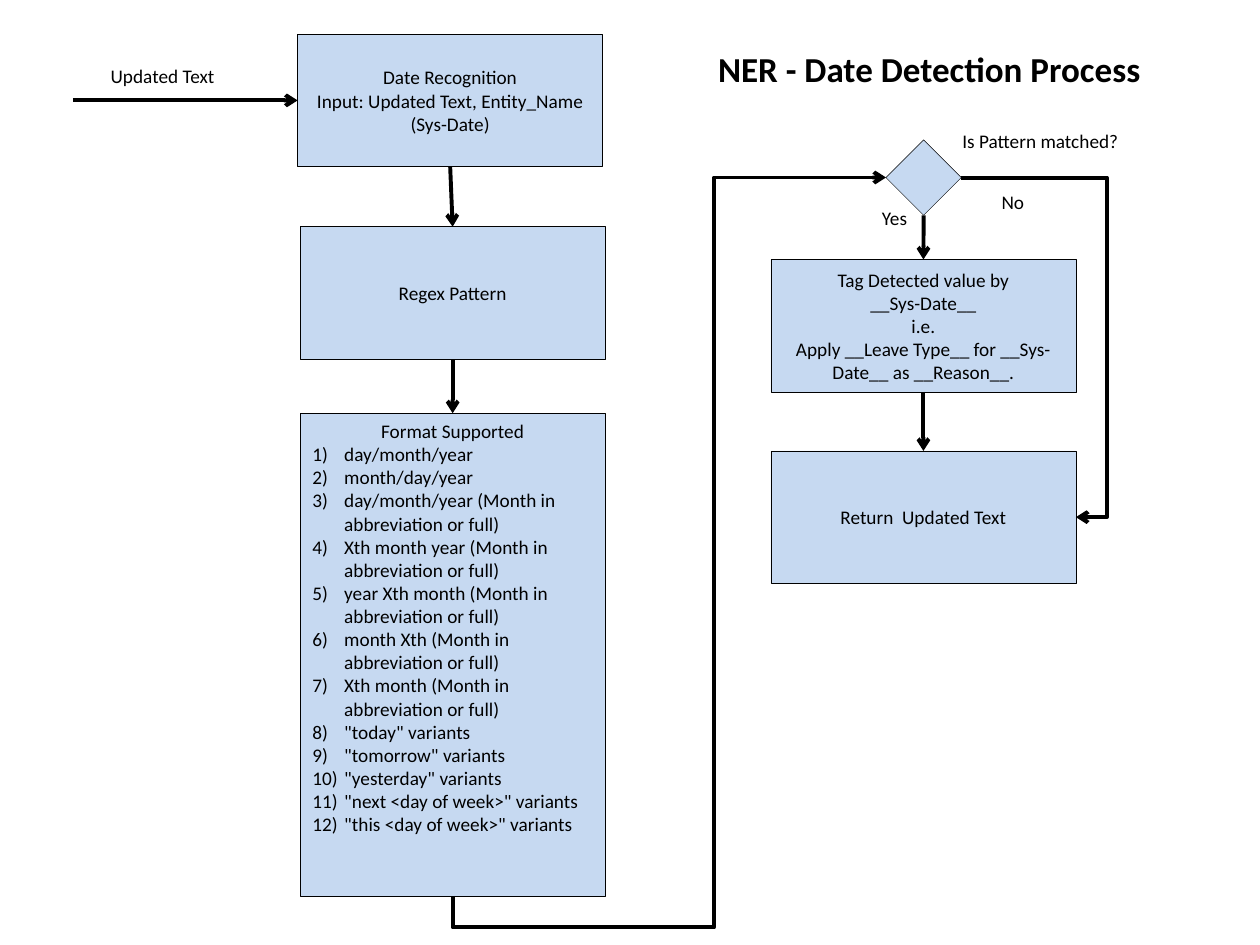
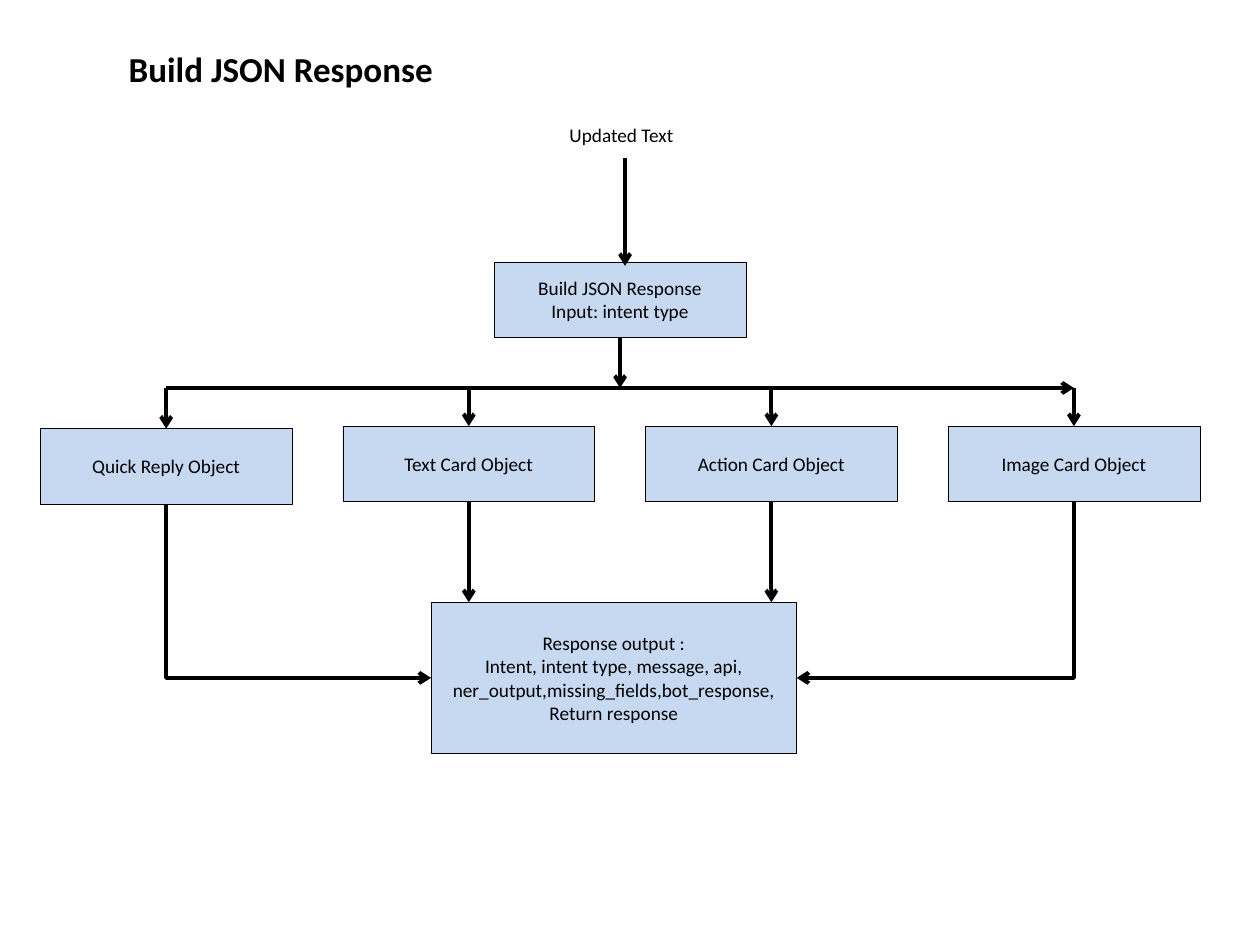
from lxml import etree
from pptx import Presentation
from pptx import util as u
from pptx.dml import color
from pptx.enum import shapes, text
from pptx.oxml import ns

COLOURS = {"box": "C6D9F1", "ink": "000000"}
FONT = "Calibri"
BODY = {"name": FONT, "size": u.Pt(11), "bold": False}
TITLE = {"name": FONT, "size": u.Pt(20), "bold": True}
SITES = {"top": 0, "left": 1, "bottom": 2, "right": 3}
RECT = shapes.MSO_SHAPE.RECTANGLE
CENTRE, LEFT = text.PP_ALIGN.CENTER, text.PP_ALIGN.LEFT
STEP_SIZE = (6.15, 2.67)
CARD_SIZE = (5.08, 1.52)
FORMATS = [
    "day/month/year", "month/day/year",
    "day/month/year (Month in abbreviation or full)",
    "Xth month year (Month in abbreviation or full)",
    "year Xth month (Month in abbreviation or full)",
    "month Xth (Month in abbreviation or full)",
    "Xth month (Month in abbreviation or full)",
    '"today" variants', '"tomorrow" variants', '"yesterday" variants',
    '"next <day of week>" variants', '"this <day of week>" variants',
]


def rgb(name):
    return color.RGBColor.from_string(COLOURS[name])


# Text
def write(frame, lines, style, align):
    frame.word_wrap = True
    for number, line in enumerate(lines):
        para = frame.paragraphs[0] if number == 0 else frame.add_paragraph()
        para.alignment = align
        span = para.add_run()
        span.text = line
        for key, value in style.items():
            setattr(span.font, key, value)
        span.font.color.rgb = rgb("ink")


def add_label(page, left, top, width, words):
    box = page.shapes.add_textbox(*map(u.Cm, (left, top, width, 0.74)))
    write(box.text_frame, [words], BODY, LEFT)
    box.text_frame.auto_size = text.MSO_AUTO_SIZE.SHAPE_TO_FIT_TEXT


def add_page(deck, title, left, width):
    page = deck.slides.add_slide(deck.slide_layouts[5])
    box = page.shapes.title
    place = {"left": left, "top": 0.84, "width": width, "height": 1.12}
    for key, value in place.items():
        setattr(box, key, u.Cm(value))
    write(box.text_frame, [title], TITLE, LEFT)
    box.text_frame.vertical_anchor = text.MSO_ANCHOR.TOP
    box.text_frame.auto_size = text.MSO_AUTO_SIZE.NONE
    return page


def number_para(para):
    props = para._p.get_or_add_pPr()
    indent = u.Cm(0.64)
    props.set("marL", str(indent))
    props.set("indent", str(-indent))
    etree.SubElement(props, ns.qn("a:buFont"), typeface="+mj-lt")
    etree.SubElement(props, ns.qn("a:buAutoNum"), type="arabicParenR")


# Boxes
def add_box(page, left, top, size, lines=(), kind=RECT):
    box = page.shapes.add_shape(kind, *map(u.Cm, (left, top, *size)))
    box.shadow.inherit = False
    box.fill.solid()
    box.fill.fore_color.rgb = rgb("box")
    box.line.color.rgb = rgb("ink")
    box.line.width = u.Pt(0.25)
    box.text_frame.vertical_anchor = text.MSO_ANCHOR.MIDDLE
    write(box.text_frame, lines, BODY, CENTRE)
    return box


# Arrows: an end is a (box, side) pair or an (x, y) point in EMU
def is_joint(end):
    return isinstance(end[1], str)


def spot(end):
    if not is_joint(end):
        return end
    box, side = end
    across = {"left": 0, "right": box.width}.get(side, box.width // 2)
    down = {"top": 0, "bottom": box.height}.get(side, box.height // 2)
    return box.left + across, box.top + down


def add_line(page, kind, start, end):
    line = page.shapes.add_connector(kind, *spot(start), *spot(end))
    line.line.color.rgb = rgb("ink")
    line.line.width = u.Pt(2.25)
    etree.SubElement(line.line._get_or_add_ln(), ns.qn("a:tailEnd"), type="arrow")
    etree.SubElement(line._element.spPr, ns.qn("a:effectLst"))
    return line


def add_arrow(page, start, end):
    line = add_line(page, shapes.MSO_CONNECTOR.STRAIGHT, start, end)
    for joint, connect in ((start, line.begin_connect), (end, line.end_connect)):
        if is_joint(joint):
            connect(joint[0], SITES[joint[1]])


def add_elbow(page, start, end, preset, turn=0, flips=(), bends=()):
    line = add_line(page, shapes.MSO_CONNECTOR.ELBOW, start, end)
    (x1, y1), (x2, y2) = spot(start), spot(end)
    width, height = abs(x2 - x1), abs(y2 - y1)
    if turn in (90, 270):
        width, height = height, width
    frame = {"left": (x1 + x2 - width) // 2, "top": (y1 + y2 - height) // 2,
             "width": width, "height": height, "rotation": turn}
    for key, value in frame.items():
        setattr(line, key, value)
    props = line._element.spPr
    xfrm = props.find(ns.qn("a:xfrm"))
    for flip in ("flipH", "flipV"):
        xfrm.set(flip, "1" if flip in flips else "0")
    outline = props.find(ns.qn("a:prstGeom"))
    outline.set("prst", preset)
    guides = outline.find(ns.qn("a:avLst"))
    for number, bend in enumerate(bends, 1):
        name = "adj" if preset == "bentConnector2" else f"adj{number}"
        etree.SubElement(guides, ns.qn("a:gd"), name=name,
                         fmla=f"val {round(bend * 100000)}")


# Date detection: the input and its three steps
def add_recognition(page, left, top):
    recognise = add_box(page, left + 4.53, top, STEP_SIZE, [
        "Date Recognition", "Input: Updated Text, Entity_Name (Sys-Date)"])
    regex = add_box(page, left + 4.58, top + 3.88, STEP_SIZE, ["Regex Pattern"])
    formats = add_box(page, left + 4.58, top + 7.64, (STEP_SIZE[0], 9.73),
                      ["Format Supported"] + FORMATS)
    formats.text_frame.vertical_anchor = text.MSO_ANCHOR.TOP
    for para in formats.text_frame.paragraphs[1:]:
        para.alignment = LEFT
        number_para(para)
    add_label(page, left + 0.51, top + 0.48, 3.61, "Updated Text")
    entry = (u.Cm(left), spot((recognise, "left"))[1])
    add_arrow(page, entry, (recognise, "left"))
    for upper, lower in ((recognise, regex), (regex, formats)):
        add_arrow(page, (upper, "bottom"), (lower, "top"))
    return formats


# Date detection: the decision and its two outcomes
def add_decision(page, left, top):
    decision = add_box(page, left + 2.32, top, (1.52, 1.52),
                       kind=shapes.MSO_SHAPE.DIAMOND)
    tag = add_box(page, left, top + 2.41, STEP_SIZE, [
        "Tag Detected value by", "__Sys-Date__", "i.e.",
        "Apply __Leave Type__ for __Sys-Date__ as __Reason__."])
    result = add_box(page, left, top + 6.27, STEP_SIZE, ["Return  Updated Text"])
    for x, y, width, words in ((3.61, -0.33, 4.65, "Is Pattern matched?"),
                               (1.99, 1.22, 1.8, "Yes"), (4.4, 0.89, 1.68, "No")):
        add_label(page, left + x, top + y, width, words)
    for upper, lower in ((decision, tag), (tag, result)):
        add_arrow(page, (upper, "bottom"), (lower, "top"))
    add_elbow(page, (decision, "right"), (result, "right"),
              "bentConnector3", bends=[1.27])
    return decision


def build_date_page(deck):
    page = add_page(deck, "NER - Date Detection Process", 14.22, 10.8)
    formats = add_recognition(page, 1.47, 0.69)
    decision = add_decision(page, 15.54, 2.82)
    add_elbow(page, (formats, "bottom"), (decision, "left"), "bentConnector4",
              90, ("flipH", "flipV"), (-0.044, 0.603))


# JSON response: the input and the build step
def add_builder(page, left, top):
    add_label(page, left + 1.27, top, 2.77, "Updated Text")
    builder = add_box(page, left, top + 2.92, CARD_SIZE,
                      ["Build JSON Response", "Input: intent type"])
    middle = u.Cm(left + 2.64)
    add_arrow(page, (middle, u.Cm(top + 0.82)), (middle, u.Cm(top + 3)))
    return builder


# JSON response: the bus and the four cards that hang from it
def add_cards(page, left, top, builder):
    names = ["Quick Reply", "Text Card", "Action Card", "Image Card"]
    cards = [add_box(page, left + 6.1 * column, top + (0.82 if column == 0 else 0.77),
                     CARD_SIZE, [f"{name} Object"])
             for column, name in enumerate(names)]
    bus = u.Cm(top)
    middles = [spot((card, "top"))[0] for card in cards]
    add_arrow(page, (middles[0], bus), (middles[-1], bus))
    add_arrow(page, (builder, "bottom"), (spot((builder, "bottom"))[0], bus))
    for middle, card in zip(middles, cards):
        add_arrow(page, (middle, bus), (card, "top"))
    return cards


# JSON response: the output that gathers the cards
def add_output(page, left, top, cards):
    output = add_box(page, left, top, (7.37, 3.05), [
        "Response output :",
        "Intent, intent type, message, api, "
        "ner_output,missing_fields,bot_response,",
        "Return response"])
    first, *inner, last = cards
    for card in inner:
        add_arrow(page, (card, "bottom"), (spot((card, "bottom"))[0], output.top))
    for card, side, turn, flips in ((first, "left", 270, ["flipH"]),
                                    (last, "right", 90, [])):
        add_elbow(page, (card, "bottom"), (output, side),
                  "bentConnector2", turn, flips)


def build_response_page(deck):
    page = add_page(deck, "Build JSON Response", 2.34, 15.21)
    builder = add_builder(page, 9.96, 2.36)
    cards = add_cards(page, 0.81, 7.82, builder)
    add_output(page, 8.69, 12.14, cards)


deck = Presentation()
deck.slide_width, deck.slide_height = u.Cm(25.4), u.Cm(19.05)
build_date_page(deck)
build_response_page(deck)
deck.save("out.pptx")
